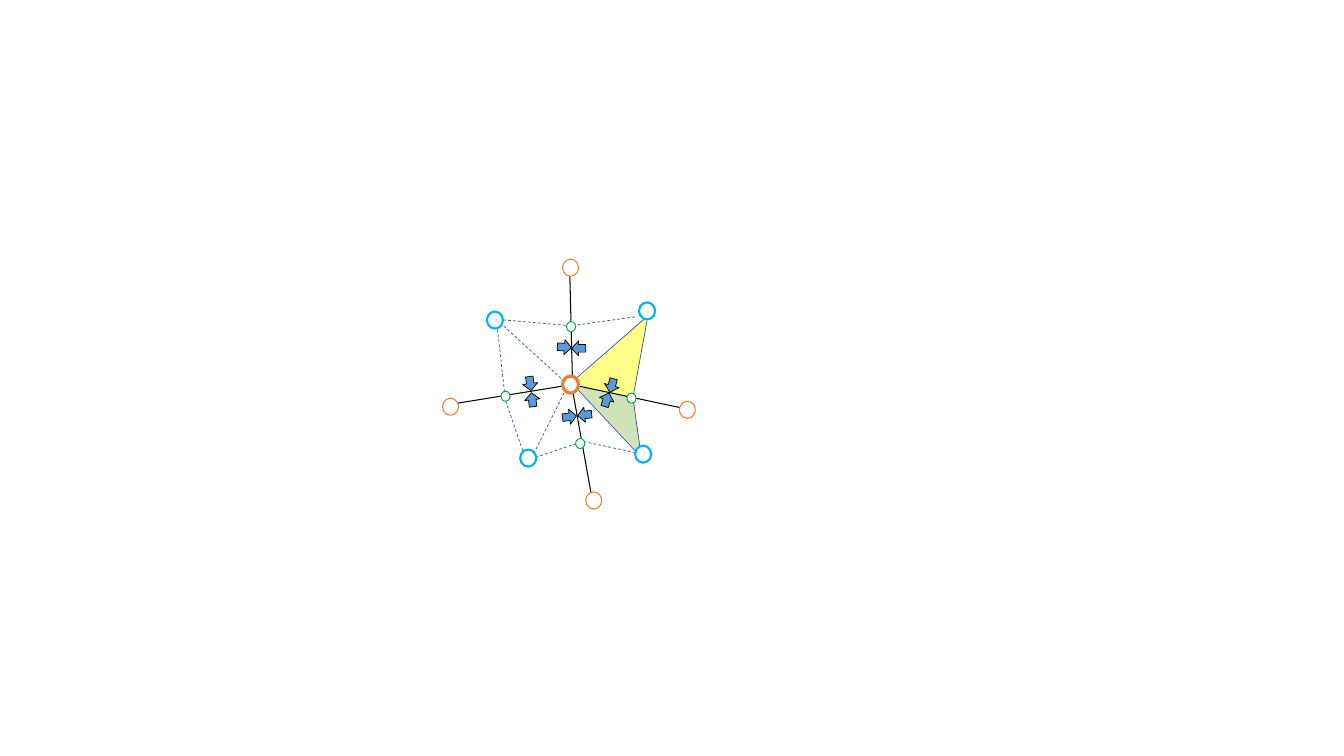
"""Draw a star of mesh nodes whose midpoints are squeezed by paired arrows."""
from dataclasses import dataclass

from lxml import etree
from pptx import Presentation
from pptx.dml.color import RGBColor
from pptx.enum import dml, shapes
from pptx.oxml import ns
from pptx.util import Pt


@dataclass(frozen=True)
class Theme:
    white: str = "FFFFFF"
    black: str = "000000"
    edge: str = "2F5597"
    corner: str = "00B0F0"
    spoke: str = "ED7D31"
    midpoint: str = "00B050"
    arrow: str = "5B9BD5"
    yellow: str = "FFFF00"
    green: str = "74B230"


theme = Theme()
prs = Presentation()
prs.slide_width, prs.slide_height = Pt(960), Pt(540)
slide = prs.slides.add_slide(prs.slide_layouts[6])
mesh = slide.shapes.add_group_shape().shapes


def draw_line(start, end, color, weight, dashed=False):
    line = mesh.add_connector(
        shapes.MSO_CONNECTOR.STRAIGHT, *(Pt(v) for v in (*start, *end)))
    line.line.color.rgb = RGBColor.from_string(color)
    line.line.width = Pt(weight)
    if dashed:
        line.line.dash_style = dml.MSO_LINE.DASH
    etree.SubElement(line._element.spPr, ns.qn("a:effectLst"))


def draw_mark(kind, center, size, fill, outline, weight, angle=0):
    (x, y), (width, height) = center, size
    mark = mesh.add_shape(
        kind, Pt(x - width / 2), Pt(y - height / 2), Pt(width), Pt(height))
    mark.rotation = angle
    mark.shadow.inherit = False
    mark.fill.solid()
    mark.fill.fore_color.rgb = RGBColor.from_string(fill)
    mark.line.color.rgb = RGBColor.from_string(outline)
    mark.line.width = Pt(weight)


triangles = [
    (theme.green, 35, [(411.1, 275.8), (452.2, 284.4), (457.9, 325.4)]),
    (theme.yellow, 47, [(408.2, 274.3), (463, 225.4), (452.2, 283.7)]),
]
for color, opacity, corners in triangles:
    points = [(Pt(x), Pt(y)) for x, y in corners]
    outline = mesh.build_freeform(*points[0])
    outline.add_line_segments(points[1:], close=True)
    triangle = outline.convert_to_shape()
    triangle.shadow.inherit = False
    triangle.line.fill.background()
    triangle.fill.solid()
    triangle.fill.fore_color.rgb = RGBColor.from_string(color)
    tint = triangle._element.spPr.find(f".//{ns.qn('a:srgbClr')}")
    etree.SubElement(tint, ns.qn("a:alpha"), val=str(opacity * 1000))

dashed_edges = [
    ((357.1, 230.4), (406.8, 275.8)),
    ((406.1, 274.3), (381.6, 323.3)),
    ((409, 232.6), (455, 226.1)),
    ((355.7, 228.2), (406.8, 232.6)),
    ((355, 231.8), (360.7, 283)),
    ((360, 283), (375.8, 329)),
    ((375.8, 329), (414, 316.1)),
    ((416.9, 315.4), (460.1, 324.7)),
]
solid_edges = [
    ((411.1, 276.5), (455, 323.3)),
    ((411.8, 270), (463, 225.4)),
    ((452.2, 283.7), (462.2, 229)),
    ((457.2, 320.4), (452.2, 284.4)),
]
spokes = [
    ((409.7, 275), (494.6, 293)),
    ((409, 275), (406.8, 187.9)),
    ((406.8, 275), (318.2, 289.4)),
    ((408.2, 274.3), (424.1, 362.9)),
]
for start, end in dashed_edges:
    draw_line(start, end, theme.edge, 0.5, dashed=True)
for start, end in solid_edges:
    draw_line(start, end, theme.edge, 0.5)
for start, end in spokes:
    draw_line(start, end, theme.black, 0.75)

arrows = [
    ((437, 275.4), 105.5), ((433.4, 285.5), 287.7),
    ((413.3, 248.8), 180), ((403.2, 248), 4.2),
    ((378.7, 274), 82.4), ((380.2, 285.5), 263.2),
    ((406.8, 297.7), 352.7), ((417.6, 296.3), 173.9),
]
for center, angle in arrows:
    draw_mark(shapes.MSO_SHAPE.RIGHT_ARROW, center, (10.1, 10.8),
              theme.arrow, theme.black, 0.5, angle)

node_size, midpoint_size = (11.5, 12.2), (6.5, 7.2)
node_sets = [
    (theme.spoke, 0.75, node_size,
     [(491, 292.7), (407.5, 191.2), (321.8, 290.5), (424.1, 357.5)]),
    (theme.midpoint, 0.75, midpoint_size,
     [(451.1, 284.4), (407.9, 233.3), (361.1, 283), (414.4, 316.8)]),
    (theme.corner, 1.5, node_size,
     [(462.2, 222.1), (353.5, 228.6), (377.3, 327.2), (459.4, 324.4)]),
    (theme.spoke, 2.25, node_size, [(407.5, 274.7)]),
]
for color, weight, size, centers in node_sets:
    for center in centers:
        draw_mark(shapes.MSO_SHAPE.OVAL, center, size, theme.white, color, weight, 180)

prs.save("out.pptx")
